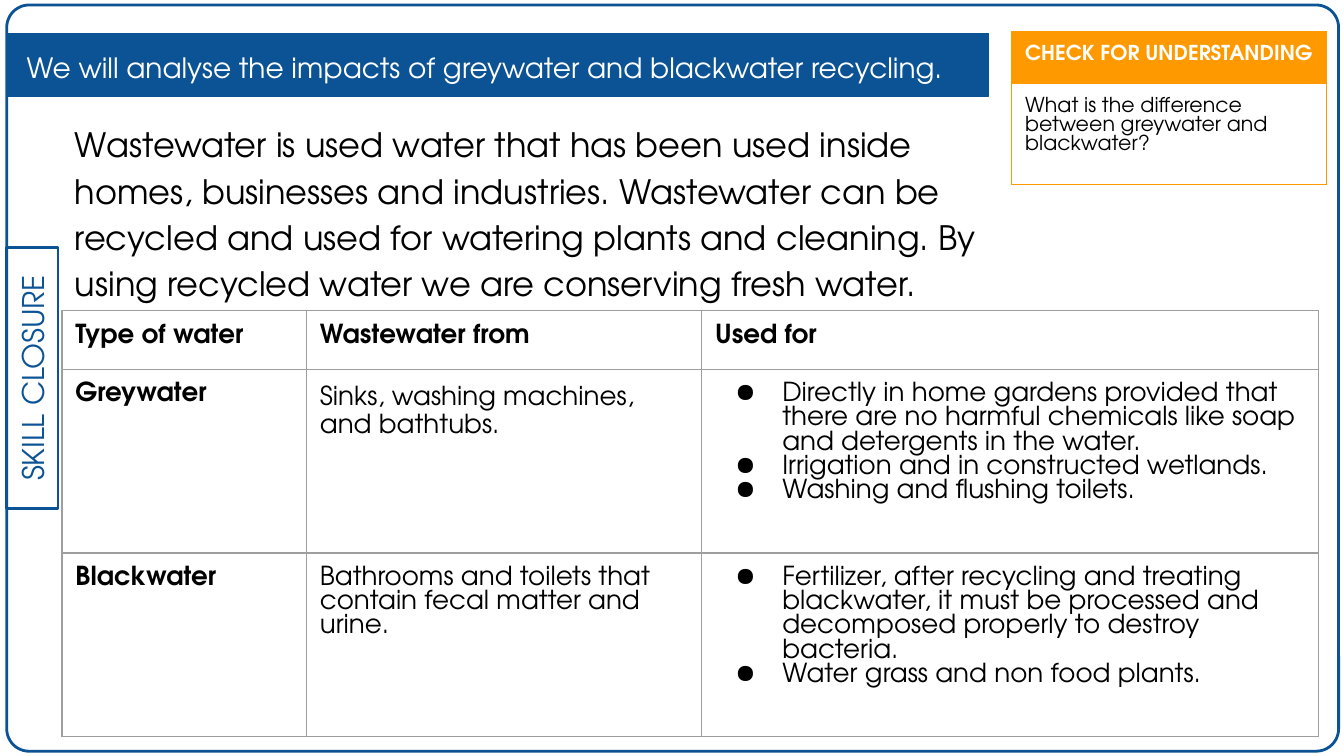
"""Builds the greywater and blackwater skill closure slide."""
from lxml import etree
from pptx import Presentation
from pptx.dml.color import RGBColor
from pptx.enum.shapes import MSO_SHAPE
from pptx.enum.text import MSO_ANCHOR, PP_ALIGN
from pptx.oxml.ns import qn
from pptx.util import Pt

RECTANGLE, ROUNDED = MSO_SHAPE.RECTANGLE, MSO_SHAPE.ROUNDED_RECTANGLE
TOP, MIDDLE = MSO_ANCHOR.TOP, MSO_ANCHOR.MIDDLE
LEFT, CENTER = PP_ALIGN.LEFT, PP_ALIGN.CENTER
COLORS = {"blue": "0B5394", "orange": "FF9900", "grey": "9E9E9E",
          "white": "FFFFFF", "black": "000000"}
FONT = "TeX Gyre Adventor"
INSET = 7.2


class ClosureSlide:
    """Holds the style and the current slide."""

    def __init__(self, slide):
        self.slide = slide

    def color(self, name):
        return RGBColor.from_string(COLORS[name])

    def bullet(self, para):
        properties = para._p.get_or_add_pPr()
        properties.set("marL", str(Pt(36)))
        properties.set("indent", str(Pt(-25.2)))
        bullet_color = etree.SubElement(properties, qn("a:buClr"))
        etree.SubElement(bullet_color, qn("a:srgbClr"), val=COLORS["black"])
        etree.SubElement(properties, qn("a:buChar"), char="●")

    def fill_text(self, frame, lines, size, color="black", bold=False,
                  align=LEFT, spacing=None, after=None, bullets=False):
        frame.word_wrap = True
        frame.text = "\n".join(lines)
        for para in frame.paragraphs:
            para.alignment = align
            if spacing:
                para.line_spacing = spacing
            if after:
                para.space_after = Pt(after)
            if bullets:
                self.bullet(para)
            for span in para.runs:
                span.font.name = FONT
                span.font.size = Pt(size)
                span.font.bold = bold
                span.font.color.rgb = self.color(color)

    def shape(self, kind, left, top, width, height, line=1.5, fill=None):
        shape = self.slide.shapes.add_shape(
            kind, Pt(left), Pt(top), Pt(width), Pt(height))
        shape.shadow.inherit = False
        if fill:
            shape.fill.solid()
            shape.fill.fore_color.rgb = self.color(fill)
        else:
            shape.fill.background()
        shape.line.color.rgb = self.color("blue")
        shape.line.width = Pt(line)
        return shape

    def inset(self, frame, anchor):
        frame.margin_left = frame.margin_right = Pt(INSET)
        frame.margin_top = frame.margin_bottom = Pt(INSET)
        frame.vertical_anchor = anchor

    def text(self, left, top, width, height, words, size, anchor=TOP, **style):
        box = self.slide.shapes.add_textbox(
            Pt(left), Pt(top), Pt(width), Pt(height))
        self.inset(box.text_frame, anchor)
        self.fill_text(box.text_frame, [words], size, **style)

    def border(self, cell, color):
        properties = cell._tc.get_or_add_tcPr()
        for side in ("lnL", "lnR", "lnT", "lnB"):
            line = etree.SubElement(properties, qn(f"a:{side}"), w=str(Pt(0.75)))
            fill = etree.SubElement(line, qn("a:solidFill"))
            etree.SubElement(fill, qn("a:srgbClr"), val=COLORS[color])

    def table(self, left, top, widths, heights, rows, size, border, header=None):
        """Each cell is a pair of its lines and its text style."""
        table = self.slide.shapes.add_table(
            len(heights), len(widths), Pt(left), Pt(top),
            Pt(sum(widths)), Pt(sum(heights))).table
        table.first_row = table.horz_banding = False
        for column, width in zip(table.columns, widths):
            column.width = Pt(width)
        for number, (row, height) in enumerate(zip(table.rows, heights)):
            row.height = Pt(height)
            for cell, (lines, style) in zip(row.cells, rows[number]):
                self.inset(cell, TOP)
                self.border(cell, border)
                if header and number == 0:
                    cell.fill.solid()
                    cell.fill.fore_color.rgb = self.color(header)
                else:
                    cell.fill.background()
                self.fill_text(cell.text_frame, lines, size, **style)


def main():
    deck = Presentation()
    deck.slide_width, deck.slide_height = Pt(720), Pt(405)
    page = ClosureSlide(deck.slides.add_slide(deck.slide_layouts[6]))

    frame = page.shape(ROUNDED, 3.6, 2.7, 713.5, 399.8)
    frame.adjustments[0] = 0.03
    label = page.shape(RECTANGLE, -52.5, 188.8, 139.7, 27.4)
    label.rotation = 270
    page.inset(label.text_frame, MIDDLE)
    page.fill_text(label.text_frame, ["SKILL CLOSURE"], 16, "blue", align=CENTER)
    page.shape(RECTANGLE, 3.6, 18, 526, 33.4, line=0.75, fill="blue")

    page.text(7.2, 20.9, 519, 27.4,
              "We will analyse the impacts of greywater and blackwater recycling.",
              15, MIDDLE, color="white", spacing=1.15)
    page.text(33.1, 56.2, 508.3, 110.2,
              "Wastewater is used water that has been used inside homes, "
              "businesses and industries. Wastewater can be recycled and used for "
              "watering plants and cleaning. By using recycled water we are "
              "conserving fresh water.", 18, spacing=1.15, after=16)

    page.table(542, 17, [168.5], [9.4, 31], [
        [(["CHECK FOR UNDERSTANDING"], {"color": "white", "bold": True})],
        [(["What is the difference between greywater and blackwater?"], {})],
    ], 11, "orange", header="orange")

    bold, bullets = {"bold": True}, {"bullets": True}
    page.table(33.2, 166.5, [131, 211.7, 330.5], [27.4, 96.5, 87.1], [
        [(["Type of water"], bold), (["Wastewater from"], bold),
         (["Used for"], bold)],
        [(["Greywater"], bold),
         (["Sinks, washing machines, and bathtubs."],
          {"spacing": 1.15, "after": 16}),
         (["Directly in home gardens provided that there are no harmful "
           "chemicals like soap and detergents in the water.",
           "Irrigation and in constructed wetlands.",
           "Washing and flushing toilets."], bullets)],
        [(["Blackwater"], bold),
         (["Bathrooms and toilets that contain fecal matter and urine."], {}),
         (["Fertilizer, after recycling and treating blackwater, it must be "
           "processed and decomposed properly to destroy bacteria.",
           "Water grass and non food plants."], bullets)],
    ], 14, "grey")

    deck.save("out.pptx")


if __name__ == "__main__":
    main()
